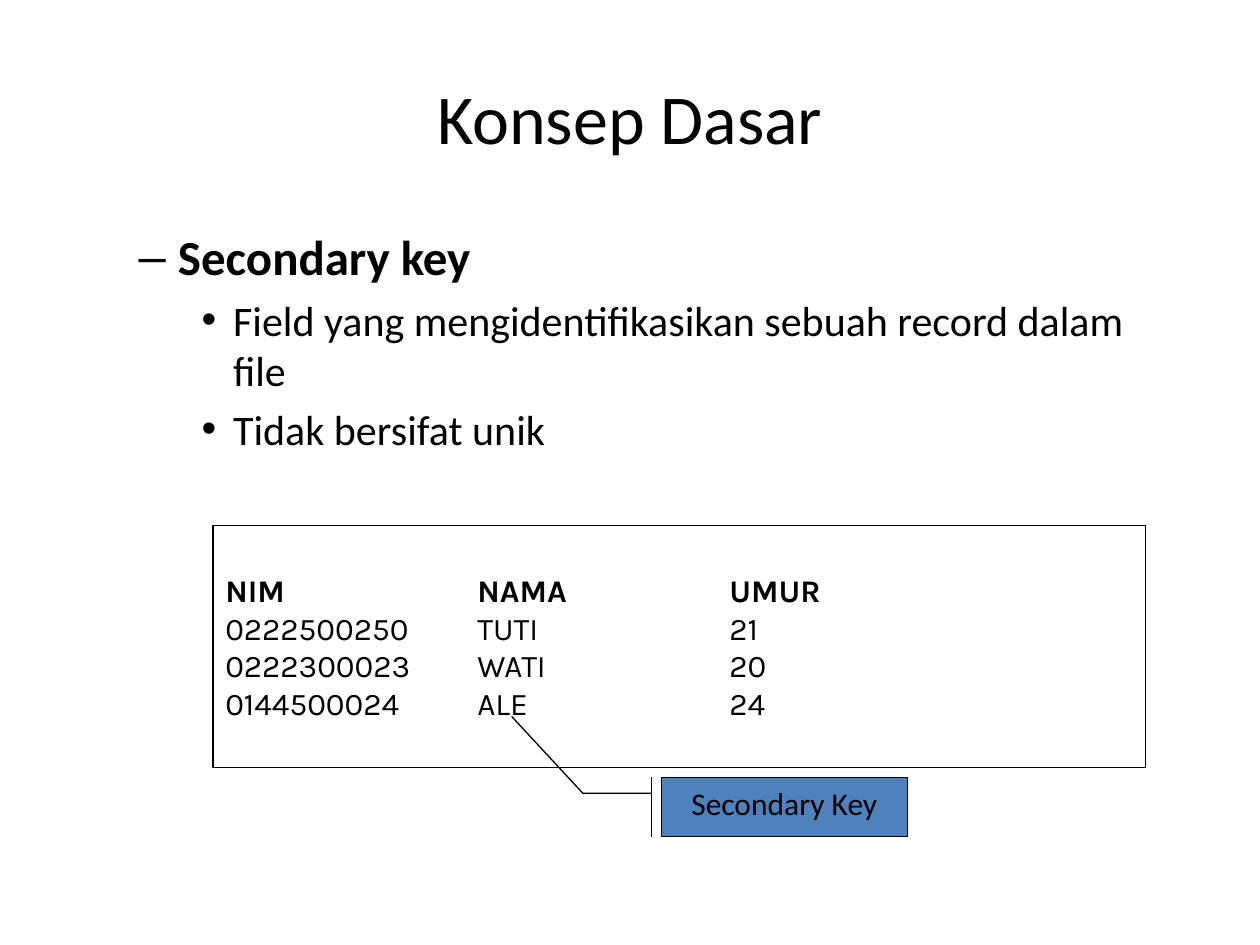
from lxml import etree
from pptx import Presentation
from pptx.dml.color import RGBColor
from pptx.enum.shapes import MSO_SHAPE
from pptx.enum.text import MSO_ANCHOR, PP_ALIGN
from pptx.oxml.ns import qn
from pptx.util import Inches, Pt

COLORS = {"text": "000000", "paper": "FFFFFF", "callout": "4F81BD"}


class SlideBuilder:
    def __init__(self, prs):
        self.slide = prs.slides.add_slide(prs.slide_layouts[1])

    def color(self, name):
        return RGBColor.from_string(COLORS[name])

    def place(self, sp, box):
        sp.left, sp.top, sp.width, sp.height = map(Inches, box)

    def style(self, p, size, bold=False, font="Calibri"):
        for r in p.runs:
            r.font.name = font
            r.font.size = Pt(size)
            r.font.bold = bold
            r.font.color.rgb = self.color("text")

    def title(self, text, box):
        sp = self.slide.shapes.title
        self.place(sp, box)
        tf = sp.text_frame
        tf.text = text
        tf.vertical_anchor = MSO_ANCHOR.MIDDLE
        tf.paragraphs[0].alignment = PP_ALIGN.CENTER
        self.style(tf.paragraphs[0], 40)

    def body(self, items, box):
        sp = self.slide.placeholders[1]
        self.place(sp, box)
        tf = sp.text_frame
        tf.text = "\n".join(text for text, level in items)
        for p, (text, level) in zip(tf.paragraphs, items):
            p.level = level
            self.style(p, 32 - 4 * level, bold=level == 1)

    def shape(self, kind, box, fill, anchor):
        sp = self.slide.shapes.add_shape(kind, *map(Inches, box))
        sp.shadow.inherit = False
        sp.fill.solid()
        sp.fill.fore_color.rgb = self.color(fill)
        sp.line.color.rgb = self.color("text")
        sp.line.width = Pt(0.75)
        sp.text_frame.vertical_anchor = anchor
        return sp

    def records(self, rows, box, stops):
        sp = self.shape(MSO_SHAPE.RECTANGLE, box, "paper", MSO_ANCHOR.MIDDLE)
        tf = sp.text_frame
        tf.text = "\n".join("\t".join(row) for row in rows)
        for i, p in enumerate(tf.paragraphs):
            p.alignment = PP_ALIGN.LEFT
            self.style(p, 18, bold=i == 0, font="Karla")
            tabs = etree.SubElement(p._p.get_or_add_pPr(), qn("a:tabLst"))
            for stop in stops:
                etree.SubElement(tabs, qn("a:tab"), pos=str(Inches(stop)), algn="l")

    def callout(self, text, box, points):
        kind = MSO_SHAPE.LINE_CALLOUT_2_BORDER_AND_ACCENT_BAR
        sp = self.shape(kind, box, "callout", MSO_ANCHOR.TOP)
        for i, value in enumerate(points):
            sp.adjustments[i] = value
        tf = sp.text_frame
        tf.text = text
        tf.paragraphs[0].alignment = PP_ALIGN.CENTER
        self.style(tf.paragraphs[0], 18)


prs = Presentation()
prs.slide_width, prs.slide_height = Inches(10), Inches(7.5)

s = SlideBuilder(prs)
s.title("Konsep Dasar", (0.5, 0.3, 9, 1.25))
s.body([
    ("Secondary key", 1),
    ("Field yang mengidentifikasikan sebuah record dalam file", 2),
    ("Tidak bersifat unik", 2),
], (0.5, 1.75, 9, 4.95))
s.records([
    ("NIM", "NAMA", "UMUR"),
    ("0222500250", "TUTI", "21"),
    ("0222300023", "WATI", "20"),
    ("0144500024", "ALE", "24"),
], (1.69, 4.17, 7.4, 1.92), stops=(2, 4))
s.callout("Secondary Key", (5.25, 6.17, 1.95, 0.47),
          points=(0.27, -0.04, 0.27, -0.32, -1.03, -0.61))

prs.save("out.pptx")
